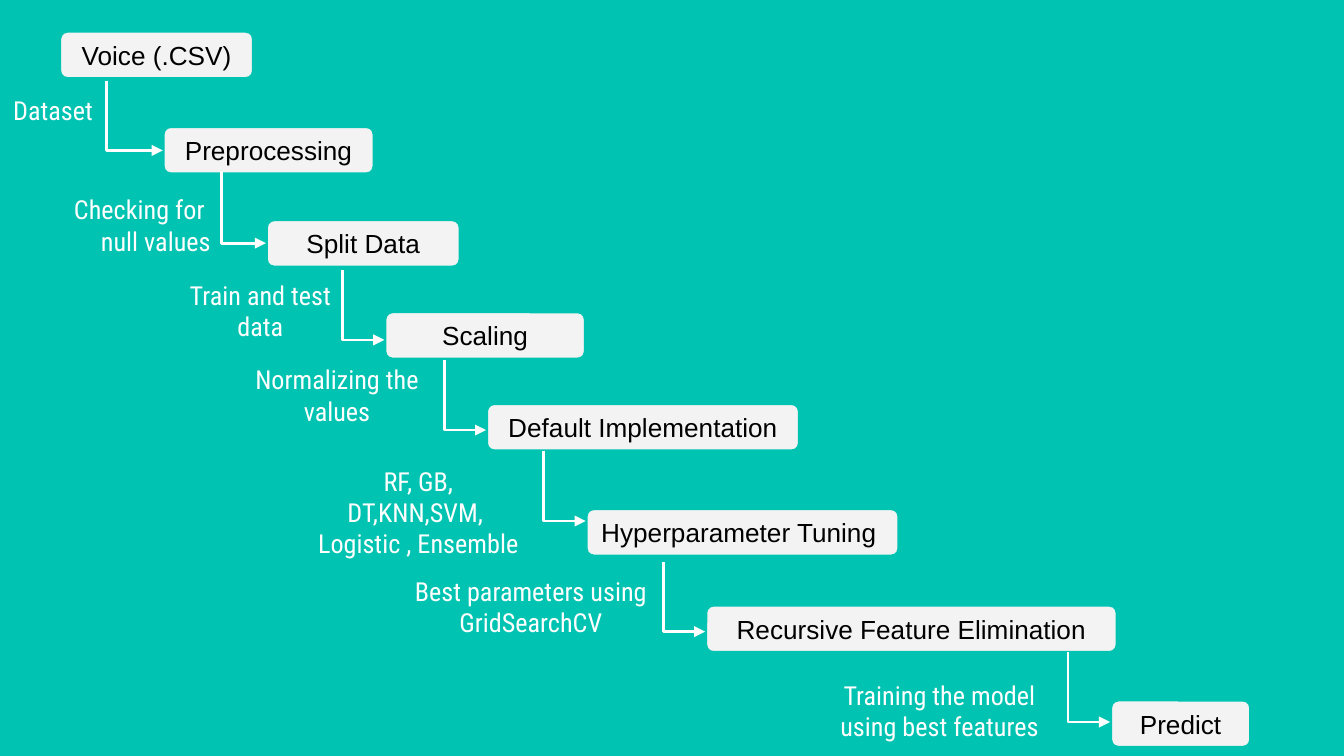
from lxml.etree import SubElement
from pptx import Presentation
from pptx.dml.color import RGBColor
from pptx.enum.shapes import MSO_CONNECTOR as Connector, MSO_SHAPE as Shape
from pptx.enum.text import MSO_ANCHOR as Anchor, MSO_AUTO_SIZE as AutoSize, PP_ALIGN as Align
from pptx.oxml.ns import qn
from pptx.util import Pt

TEAL = RGBColor(0x00, 0xC3, 0xB1)
LIGHT_GRAY = RGBColor(0xF3, 0xF3, 0xF3)
WHITE = RGBColor(0xFF, 0xFF, 0xFF)
BLACK = RGBColor(0x00, 0x00, 0x00)

BOX_HEIGHT = 26
LABEL_HEIGHT = 48.2
INSET = 7.2

# text, left, top, width
STEPS = [
    ("Voice (.CSV)", 31.7, 16.4, 104.4),
    ("Preprocessing", 87.1, 67.5, 113.6),
    ("Split Data", 142.4, 117.4, 104.4),
    ("Scaling", 205.9, 166.7, 108),
    ("Default Implementation", 260.4, 215.9, 168.2),
    ("Hyperparameter Tuning ", 313.7, 272.2, 168.2),
    ("Recursive Feature Elimination", 377.8, 323.9, 221),
    ("Predict", 594.7, 374.7, 75.6),
]

# start x, start y, drop; each arrow ends at the left side of the next step
ARROWS = [
    (56.9, 43.2, 37.4),
    (118.8, 91.4, 38.9),
    (183.4, 144.7, 37.4),
    (238.1, 193, 37.4),
    (291.1, 241.7, 37.4),
    (355.4, 301, 37.4),
    (572.2, 349.4, 37.4),
]

# text, left, top, width, alignment, anchor
LABELS = [
    ("Dataset", 0, 43.2, 75.6, Align.LEFT, Anchor.TOP),
    ("Checking for \nnull values", 24.5, 96.5, 95.5, Align.RIGHT, Anchor.MIDDLE),
    ("Train and test data", 82.6, 142.4, 113.8, Align.CENTER, Anchor.TOP),
    ("Normalizing the values", 126.6, 187.7, 108, Align.CENTER, Anchor.TOP),
    ("RF, GB, DT,KNN,SVM, \nLogistic , Ensemble", 161.5, 241.9, 125.3, Align.CENTER, Anchor.TOP),
    ("Best parameters using GridSearchCV", 209.5, 301, 149.8, Align.CENTER, Anchor.TOP),
    ("Training the model using best features", 428.4, 356.6, 149.8, Align.CENTER, Anchor.TOP),
]


def write_text(shape, text, font="Arial", size=14, color=BLACK,
               align=Align.CENTER, anchor=Anchor.MIDDLE):
    frame = shape.text_frame
    frame.word_wrap = True
    frame.vertical_anchor = anchor
    frame.margin_left = frame.margin_right = Pt(INSET)
    frame.margin_top = frame.margin_bottom = Pt(INSET)
    frame.text = text
    for paragraph in frame.paragraphs:
        paragraph.alignment = align
        paragraph.font.name = font
        paragraph.font.size = Pt(size)
        paragraph.font.color.rgb = color


def add_step(slide, text, left, top, width):
    box = slide.shapes.add_shape(Shape.ROUNDED_RECTANGLE, Pt(left), Pt(top),
                                 Pt(width), Pt(BOX_HEIGHT))
    box.shadow.inherit = False
    box.fill.solid()
    box.fill.fore_color.rgb = LIGHT_GRAY
    box.line.color.rgb = TEAL
    box.line.width = Pt(2.25)
    write_text(box, text)


def add_label(slide, text, left, top, width, align, anchor):
    label = slide.shapes.add_textbox(Pt(left), Pt(top), Pt(width), Pt(LABEL_HEIGHT))
    write_text(label, text, font="Roboto Condensed", color=WHITE, align=align, anchor=anchor)
    if anchor == Anchor.TOP:
        label.text_frame.auto_size = AutoSize.SHAPE_TO_FIT_TEXT


def add_step_arrow(slide, x, y, drop, end_x):
    """Draw an elbow arrow down and then right, as a one-bend connector turned by 270 degrees."""
    run = end_x - x
    center_x, center_y = x + run / 2, y + drop / 2
    arrow = slide.shapes.add_connector(
        Connector.ELBOW,
        Pt(center_x + drop / 2), Pt(center_y - run / 2),
        Pt(center_x - drop / 2), Pt(center_y + run / 2))
    arrow.line.color.rgb = WHITE
    arrow.line.width = Pt(1.5)
    properties = arrow.element.spPr
    properties.find(qn("a:xfrm")).set("rot", str(270 * 60000))
    properties.find(qn("a:prstGeom")).set("prst", "bentConnector2")
    SubElement(properties.find(qn("a:ln")), qn("a:tailEnd"), type="triangle")
    SubElement(properties, qn("a:effectLst"))


def main():
    presentation = Presentation()
    presentation.slide_width = Pt(720)
    presentation.slide_height = Pt(405)
    slide = presentation.slides.add_slide(presentation.slide_layouts[6])
    slide.background.fill.solid()
    slide.background.fill.fore_color.rgb = TEAL

    for label in LABELS:
        add_label(slide, *label)
    for step in STEPS:
        add_step(slide, *step)
    for arrow, (_, next_left, _, _) in zip(ARROWS, STEPS[1:]):
        add_step_arrow(slide, *arrow, end_x=next_left)

    presentation.save("out.pptx")


if __name__ == "__main__":
    main()
